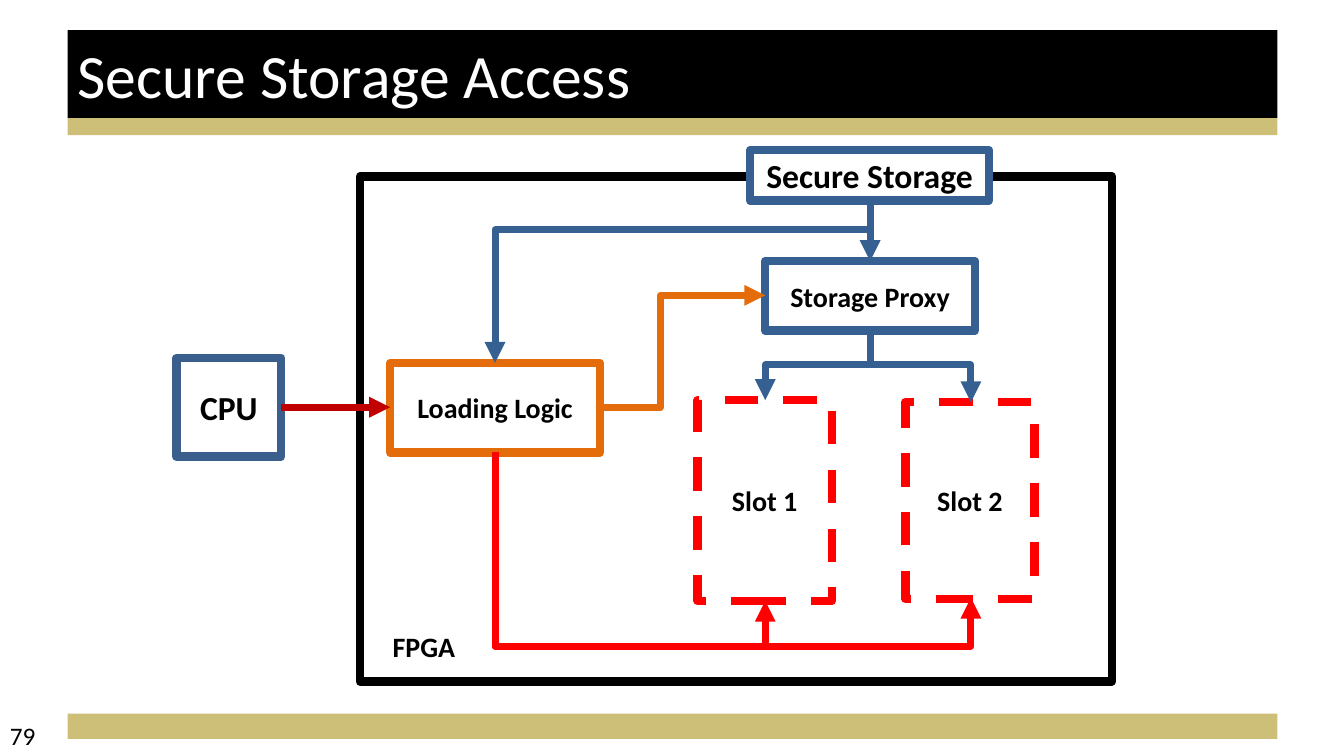
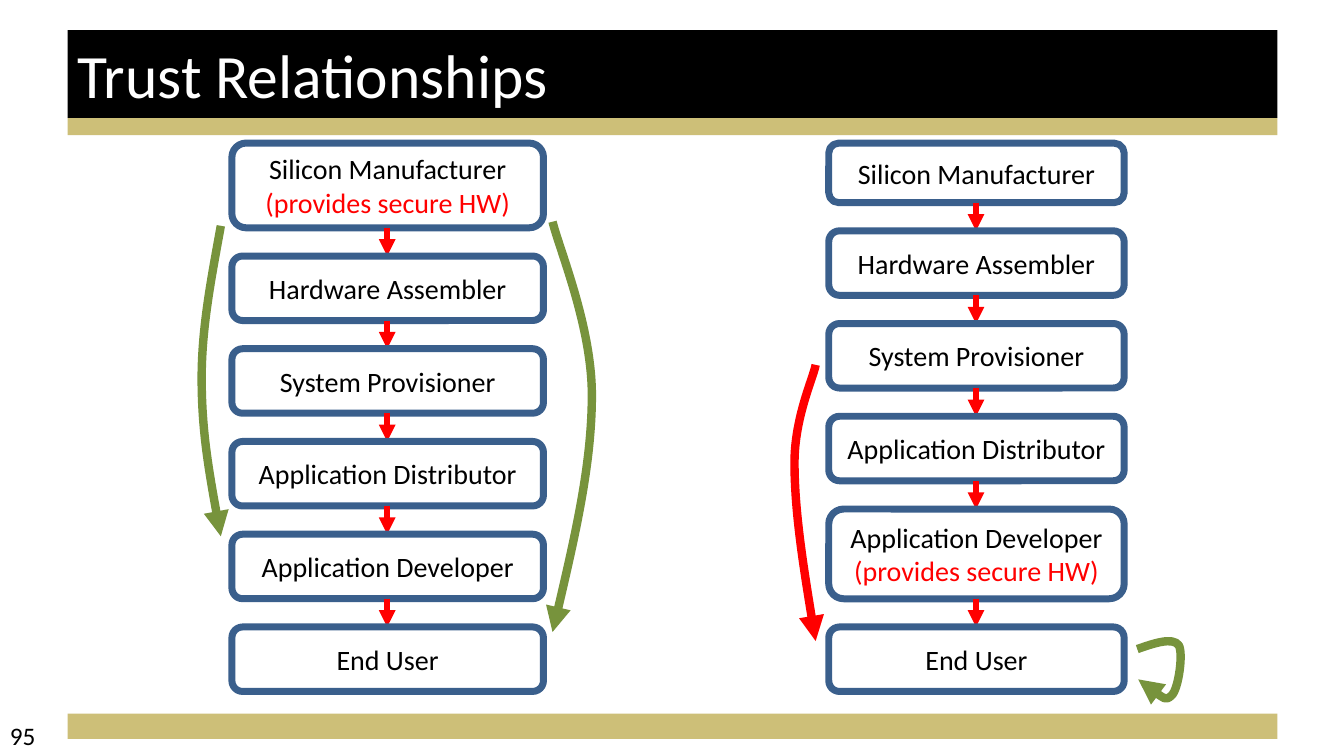
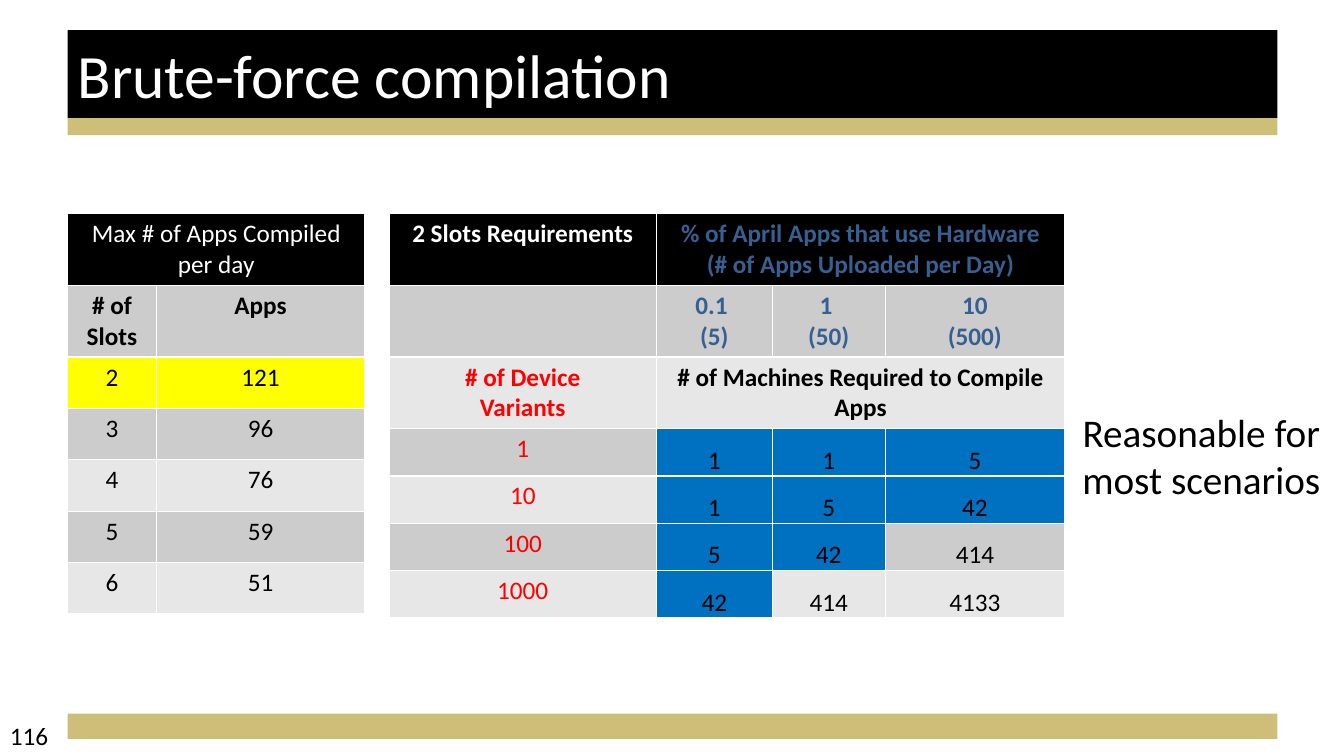
from lxml.etree import SubElement
from pptx import Presentation
from pptx.dml.color import RGBColor
from pptx.enum.dml import MSO_LINE
from pptx.enum.shapes import MSO_CONNECTOR as LINK, MSO_SHAPE as KIND
from pptx.enum.text import MSO_ANCHOR as ANCHOR, MSO_AUTO_SIZE as FIT, PP_ALIGN as ALIGN
from pptx.oxml.ns import qn
from pptx.util import Pt

PX = 9144  # one px is a hundredth of an inch
FONT = "Calibri"
HEX = {
    "black": "000000", "white": "FFFFFF", "gold": "CDBF78", "blue": "376092",
    "steel": "3A5F8C", "orange": "E46C0A", "red": "FF0000", "crimson": "C00000",
    "green": "77933C", "dark": "CCCCCC", "light": "E7E7E7", "yellow": "FFFF00",
    "cell": "0070C0",
}
RGB = {name: RGBColor.from_string(code) for name, code in HEX.items()}


def box(slide, at, text="", size=20, bold=False, kind=KIND.RECTANGLE,
        fill=None, edge=None, width=6):
    shape = slide.shapes.add_shape(kind, *[n * PX for n in at])
    shape.shadow.inherit = False
    if fill:
        shape.fill.solid()
        shape.fill.fore_color.rgb = RGB[fill]
    else:
        shape.fill.background()
    if edge:
        shape.line.color.rgb = RGB[edge]
        shape.line.width = Pt(width)
    else:
        shape.line.fill.background()
    frame = shape.text_frame
    frame.word_wrap = True
    frame.vertical_anchor = ANCHOR.MIDDLE
    if text:
        frame.text = text
    for para in frame.paragraphs:
        para.alignment = ALIGN.CENTER
        para.font.name, para.font.size, para.font.bold = FONT, Pt(size), bold
        para.font.color.rgb = RGB["black"]
    return shape


def tip(line, color, width):
    """Style a line and give its end an arrowhead."""
    line.line.color.rgb = RGB[color]
    line.line.width = Pt(width)
    props = line.element.spPr
    SubElement(props.find(qn("a:ln")), qn("a:tailEnd"), type="triangle")
    SubElement(props, qn("a:effectLst"))


deck = Presentation()
deck.slide_width, deck.slide_height = 1333 * PX, 750 * PX
layout = deck.slide_layouts[5]
for holder in list(layout.placeholders):
    if holder.placeholder_format.idx:
        holder.element.getparent().remove(holder.element)

# Titles and page numbers
pages = []
for title, number in (("Secure Storage Access", "79"),
                      ("Trust Relationships", "95"),
                      ("Brute-force compilation", "116")):
    page = deck.slides.add_slide(layout)
    pages.append(page)
    head = page.shapes.title
    head.left, head.top, head.width, head.height = [n * PX for n in (67, 30, 1200, 87)]
    head.text_frame.text = title
    head.text_frame.auto_size = FIT.NONE
    head.text_frame.vertical_anchor = ANCHOR.MIDDLE
    para = head.text_frame.paragraphs[0]
    para.alignment = ALIGN.LEFT
    para.font.name, para.font.size = FONT, Pt(44)
    para.font.color.rgb = RGB["white"]
    foot = box(page, (0, 710, 311, 40), number, 18)
    foot.text_frame.vertical_anchor = ANCHOR.TOP
    foot.text_frame.paragraphs[0].alignment = ALIGN.LEFT
store, trust, brute = pages

# Bands, moved to the layout that all slides share
for top, high, fill in ((708, 25, "gold"), (30, 87, "black"), (117, 17, "gold")):
    band = box(store, (67, top, 1200, high), fill=fill)
    layout.shapes.element.insert(2, band.element)

# Storage access: blocks
box(store, (357, 175, 746, 501), edge="black")
for text, at, size, edge, fill in (
    ("Loading Logic", (387, 360, 208, 89), 20, "orange", None),
    ("Secure Storage", (744, 149, 237, 50), 24, "blue", "white"),
    ("Storage Proxy", (759, 259, 208, 69), 20, "blue", None),
    ("CPU", (175, 355, 104, 98), 24, "steel", None),
    ("FPGA", (364, 619, 113, 44), 20, None, None),
):
    box(store, at, text, size, True, fill=fill, edge=edge)
for text, at in (("Slot 1", (692, 397, 133, 199)), ("Slot 2", (898, 399, 128, 195))):
    slot = box(store, at, text, bold=True, edge="red")
    slot.line.dash_style = MSO_LINE.DASH

# Storage access: arrows, with the level at which an elbow turns
for color, way, x1, y1, x2, y2, turn in (
    ("red", "down", 491, 448, 963, 593, 641),
    ("red", "down", 491, 448, 759, 596, 641),
    ("crimson", "straight", 279, 404, 387, 404, None),
    ("blue", "straight", 863, 200, 863, 259, None),
    ("blue", "down", 863, 328, 759, 397, 362),
    ("blue", "down", 863, 328, 963, 399, 362),
    ("blue", "down", 863, 200, 491, 360, 228),
    ("orange", "across", 595, 404, 759, 293, 655),
):
    ends = (x1, y1, x2, y2)
    if way == "down":  # laid out sideways, then turned by 90 degrees
        mx, my, dx, dy = (x1 + x2) / 2, (y1 + y2) / 2, (x2 - x1) / 2, (y2 - y1) / 2
        ends = (mx - dy, my + dx, mx + dy, my - dx)
    kind = LINK.STRAIGHT if way == "straight" else LINK.ELBOW
    link = store.shapes.add_connector(kind, *[int(n * PX) for n in ends])
    tip(link, color, 5)
    props = link.element.spPr
    if way == "down":
        props.find(qn("a:xfrm")).set("rot", "5400000")
    if turn:
        part = (turn - y1) / (y2 - y1) if way == "down" else (turn - x1) / (x2 - x1)
        SubElement(props.find(qn("a:prstGeom")).find(qn("a:avLst")), qn("a:gd"),
                   name="adj1", fmla=f"val {round(part * 100000)}")

# Trust: two chains of roles, equal gaps
ROLES = ("Silicon Manufacturer", "Hardware Assembler", "System Provisioner",
         "Application Distributor", "Application Developer", "End User")
GAP = 28
for left, wide, highs, secure in ((230, 309, (84, 64, 64, 64, 64, 64), 0),
                                  (822, 293, (59, 64, 64, 64, 89, 64), 4)):
    top = 142
    for i, (role, high) in enumerate(zip(ROLES, highs)):
        if i:
            mid = left + wide // 2
            link = trust.shapes.add_connector(
                LINK.STRAIGHT, *[n * PX for n in (mid, top - GAP, mid, top)])
            tip(link, "red", 4)
        text = role + "\n(provides secure HW)" if i == secure else role
        step = box(trust, (left, top, wide, high), text,
                   kind=KIND.ROUNDED_RECTANGLE, edge="steel", width=5)
        if i == secure:
            step.text_frame.paragraphs[1].font.color.rgb = RGB["red"]
        top += high + GAP

# Trust: curved arrows, each a start and then triples of Bezier points
for color, start, *dots in (
    ("green", (219, 224), (210, 274), (200, 324), (200, 375),
     (200, 426), (209, 479), (219, 532)),
    ("green", (548, 220), (555, 248), (587, 324), (587, 392),
     (587, 459), (568, 543), (548, 627)),
    ("red", (809, 362), (807, 374), (788, 414), (788, 459),
     (788, 505), (798, 571), (809, 636)),
    ("green", (1128, 644), (1145, 638), (1163, 632), (1169, 640),
     (1174, 647), (1169, 684), (1162, 690), (1156, 696), (1142, 685), (1129, 674)),
):
    pen = trust.shapes.build_freeform(*start, scale=PX)
    pen.add_line_segments(dots, close=False)
    curve = pen.convert_to_shape()
    curve.fill.background()
    tip(curve, color, 6)
    track = next(curve.element.iter(qn("a:path")))
    lines = track.findall(qn("a:lnTo"))
    for i in range(0, len(lines), 3):
        bend = SubElement(track, qn("a:cubicBezTo"))
        for line in lines[i:i + 3]:
            bend.append(line[0])
            track.remove(line)

# Brute force: tables; merges run from a cell to the end of its row
APPS = (("Max # of Apps Compiled per day", ""), ("# of\vSlots", "Apps"),
        ("2", "121"), ("3", "96"), ("4", "76"), ("5", "59"), ("6", "51"))
NEEDS = (
    ("2 Slots Requirements",
     "% of April Apps that use Hardware\n(# of Apps Uploaded per Day)", "", ""),
    ("", "0.1 \n(5)", "1 \v(50)", "10\v(500)"),
    ("# of Device\nVariants", "# of Machines Required to Compile Apps", "", ""),
    ("1", "1", "1", "5"), ("10", "1", "5", "42"),
    ("100", "5", "42", "414"), ("1000", "42", "414", "4133"),
)
for rows, left, wides, highs, merges in (
    (APPS, 67, (88, 207), (71, 71) + (51,) * 5, ((0, 0),)),
    (NEEDS, 386, (265, 115, 112, 178), (71,) * 3 + (47,) * 4, ((0, 1), (2, 1))),
):
    grid = brute.shapes.add_table(len(rows), len(wides), left * PX, 212 * PX,
                                  sum(wides) * PX, sum(highs) * PX).table
    for col, wide in zip(grid.columns, wides):
        col.width = wide * PX
    for row, high in zip(grid.rows, highs):
        row.height = high * PX
    for r, c in merges:
        grid.cell(r, c).merge(grid.cell(r, len(wides) - 1))
    needs = rows is NEEDS
    for r, row in enumerate(rows):
        for c, text in enumerate(row):
            cell = grid.cell(r, c)
            fill = "black" if r == 0 else "dark" if r % 2 else "light"
            color = "white" if r == 0 else "black"
            bold = r == 1
            if needs:
                bold = r < 3
                if c and r < 2:
                    color = "blue"
                elif c == 0 and r > 1:
                    color = "red"
                elif c and r > 2:
                    if int(text) < 100:
                        fill = "cell"
                    cell.vertical_anchor = ANCHOR.BOTTOM
                    cell.margin_left = cell.margin_right = cell.margin_top = PX
                    cell.margin_bottom = 0
            elif r == 2:
                fill = "yellow"
            cell.fill.solid()
            cell.fill.fore_color.rgb = RGB[fill]
            if not text:
                continue
            cell.text = text
            for para in cell.text_frame.paragraphs:
                para.alignment = ALIGN.CENTER
                para.font.name, para.font.size, para.font.bold = FONT, Pt(18), bold
                para.font.color.rgb = RGB[color]

# Brute force: verdict
box(brute, (1058, 400, 267, 104), "Reasonable for most scenarios", 28)

deck.save("out.pptx")
